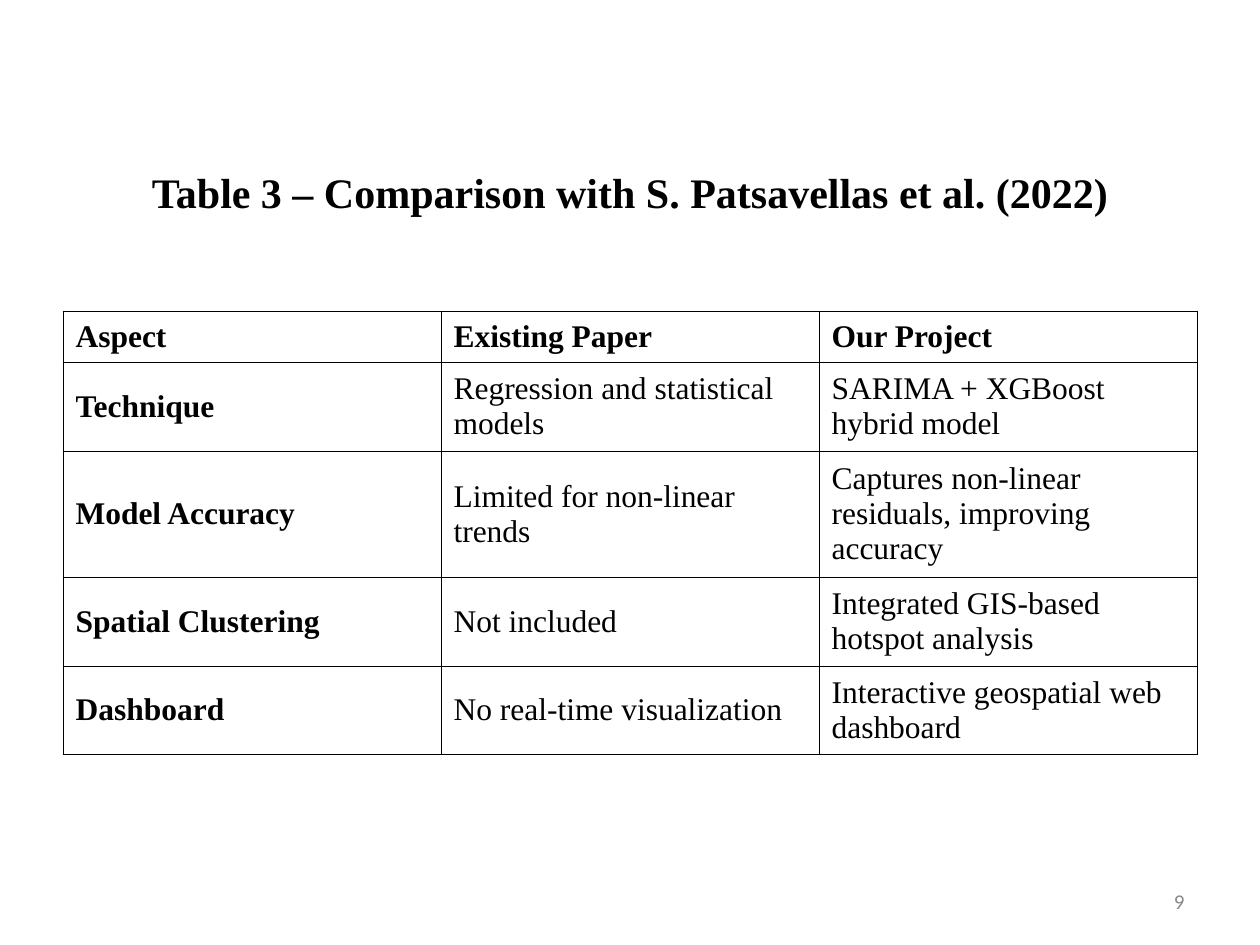
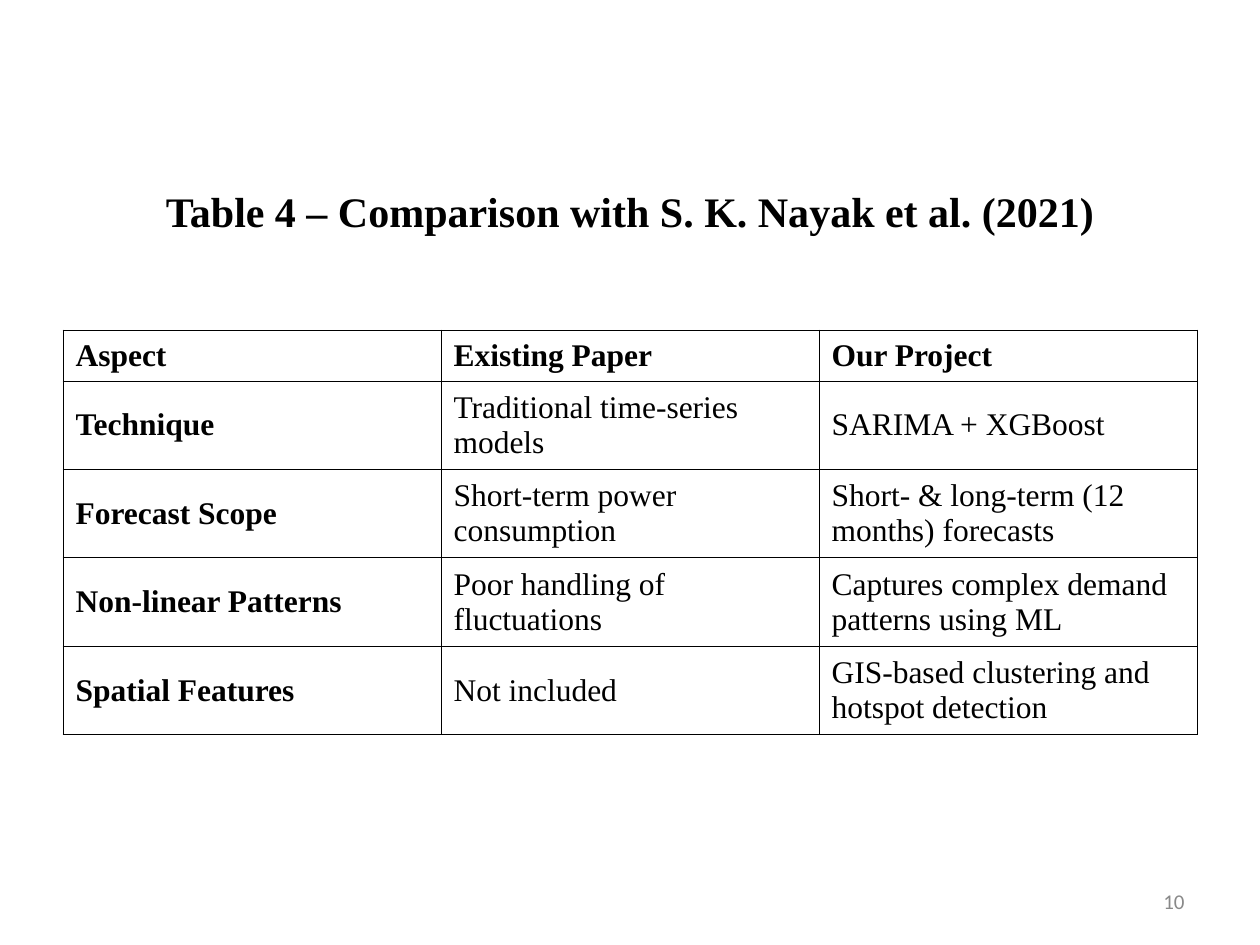
from lxml import etree
from pptx import Presentation
from pptx.dml.color import RGBColor
from pptx.enum.text import MSO_ANCHOR, PP_ALIGN
from pptx.oxml.ns import qn
from pptx.util import Emu, Pt

BLACK = RGBColor(0x00, 0x00, 0x00)
GREY = RGBColor(0x89, 0x89, 0x89)
SERIF = "Times New Roman"
SANS = "Calibri"
MIDDLE = MSO_ANCHOR.MIDDLE
CENTER, RIGHT = PP_ALIGN.CENTER, PP_ALIGN.RIGHT

PX_PER_INCH = 126
SLIDE_WIDTH, SLIDE_HEIGHT = 1260, 945
MARGIN = 63
CONTENT_WIDTH = SLIDE_WIDTH - 2 * MARGIN
TITLE_HEIGHT = 158
TITLE_TO_TABLE = 198
NUMBER_WIDTH = 294
BORDER_WIDTH = Pt(0.45)

HEADER = ("Aspect", "Existing Paper", "Our Project")
COMPARISONS = [
    {
        "number": 9,
        "title": "Table 3 – Comparison with S. Patsavellas et al. (2022)",
        "top": 113,
        "row_heights": (51, 89, 126, 89, 88),
        "rows": [
            ("Technique", "Regression and statistical models",
             "SARIMA + XGBoost hybrid model"),
            ("Model Accuracy", "Limited for non-linear trends",
             "Captures non-linear residuals, improving accuracy"),
            ("Spatial Clustering", "Not included",
             "Integrated GIS-based hotspot analysis"),
            ("Dashboard", "No real-time visualization",
             "Interactive geospatial web dashboard"),
        ],
    },
    {
        "number": 10,
        "title": "Table 4 – Comparison with S. K. Nayak et al. (2021)",
        "top": 132,
        "row_heights": (51, 88, 88, 89, 88),
        "rows": [
            ("Technique", "Traditional time-series models", "SARIMA + XGBoost"),
            ("Forecast Scope", "Short-term power consumption",
             "Short- & long-term (12 months) forecasts"),
            ("Non-linear Patterns", "Poor handling of fluctuations",
             "Captures complex demand patterns using ML"),
            ("Spatial Features", "Not included",
             "GIS-based clustering and hotspot detection"),
        ],
    },
]


def px(length):
    """Convert whole pixels to EMU."""
    return Emu(round(length * 914400 / PX_PER_INCH))


def set_font(paragraph, name, size, color, bold=False):
    font = paragraph.font
    font.name, font.size, font.bold = name, Pt(size), bold
    font.color.rgb = color


def add_borders(cell):
    """Put a thin black line on all four sides; lines must precede the fill."""
    properties = cell._tc.get_or_add_tcPr()
    for index, side in enumerate(("lnL", "lnR", "lnT", "lnB")):
        line = etree.Element(qn(f"a:{side}"), w=str(BORDER_WIDTH))
        fill = etree.SubElement(line, qn("a:solidFill"))
        etree.SubElement(fill, qn("a:srgbClr"), val=str(BLACK))
        properties.insert(index, line)


class Deck:
    def __init__(self):
        self.presentation = Presentation()
        self.presentation.slide_width = px(SLIDE_WIDTH)
        self.presentation.slide_height = px(SLIDE_HEIGHT)
        self.slide = None

    def add_slide(self):
        blank = self.presentation.slide_layouts[6]
        self.slide = self.presentation.slides.add_slide(blank)

    def add_text(self, text, left, top, width, height, alignment, **style):
        box = self.slide.shapes.add_textbox(
            px(left), px(top), px(width), px(height))
        frame = box.text_frame
        frame.word_wrap = True
        frame.vertical_anchor = MIDDLE
        paragraph = frame.paragraphs[0]
        paragraph.text = text
        paragraph.alignment = alignment
        set_font(paragraph, **style)

    def add_title(self, text, top):
        self.add_text(text, MARGIN, top, CONTENT_WIDTH, TITLE_HEIGHT, CENTER,
                      name=SERIF, size=24, color=BLACK, bold=True)

    def add_slide_number(self, number):
        left = SLIDE_WIDTH - MARGIN - NUMBER_WIDTH
        self.add_text(str(number), left, 876, NUMBER_WIDTH, 50, RIGHT,
                      name=SANS, size=12, color=GREY)

    def add_table(self, rows, row_heights, top):
        """Add a bordered table with a bold header row and first column."""
        table = self.slide.shapes.add_table(
            len(rows), len(HEADER), px(MARGIN), px(top),
            px(CONTENT_WIDTH), px(sum(row_heights))).table
        table.first_row = table.horz_banding = False
        for row, height in zip(table.rows, row_heights):
            row.height = px(height)
        for row_index, row in enumerate(rows):
            for column_index, text in enumerate(row):
                cell = table.cell(row_index, column_index)
                cell.text = text
                cell.vertical_anchor = MIDDLE
                cell.fill.background()
                add_borders(cell)
                set_font(cell.text_frame.paragraphs[0], SERIF, 18, BLACK,
                         bold=row_index == 0 or column_index == 0)


def main():
    deck = Deck()
    for comparison in COMPARISONS:
        top = comparison["top"]
        deck.add_slide()
        deck.add_title(comparison["title"], top)
        deck.add_table([HEADER, *comparison["rows"]],
                       comparison["row_heights"], top + TITLE_TO_TABLE)
        deck.add_slide_number(comparison["number"])
    deck.presentation.save("out.pptx")


if __name__ == "__main__":
    main()
